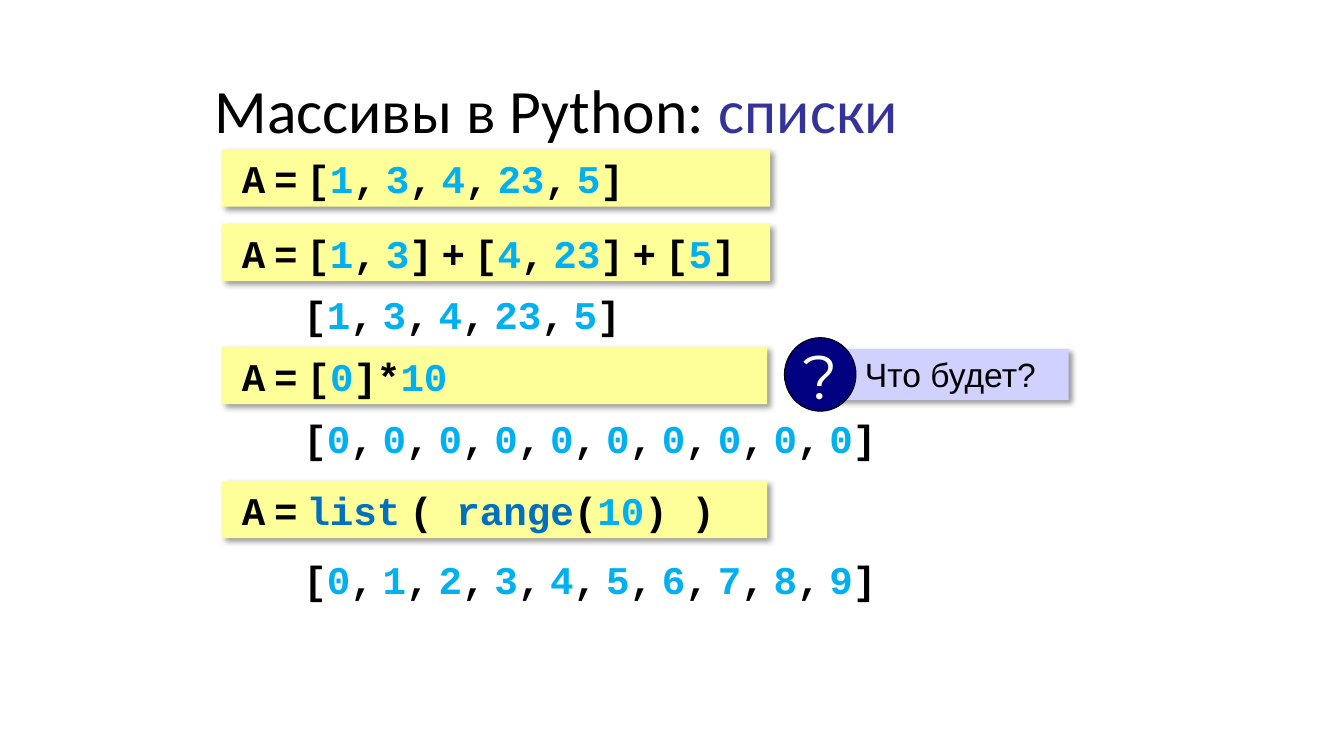
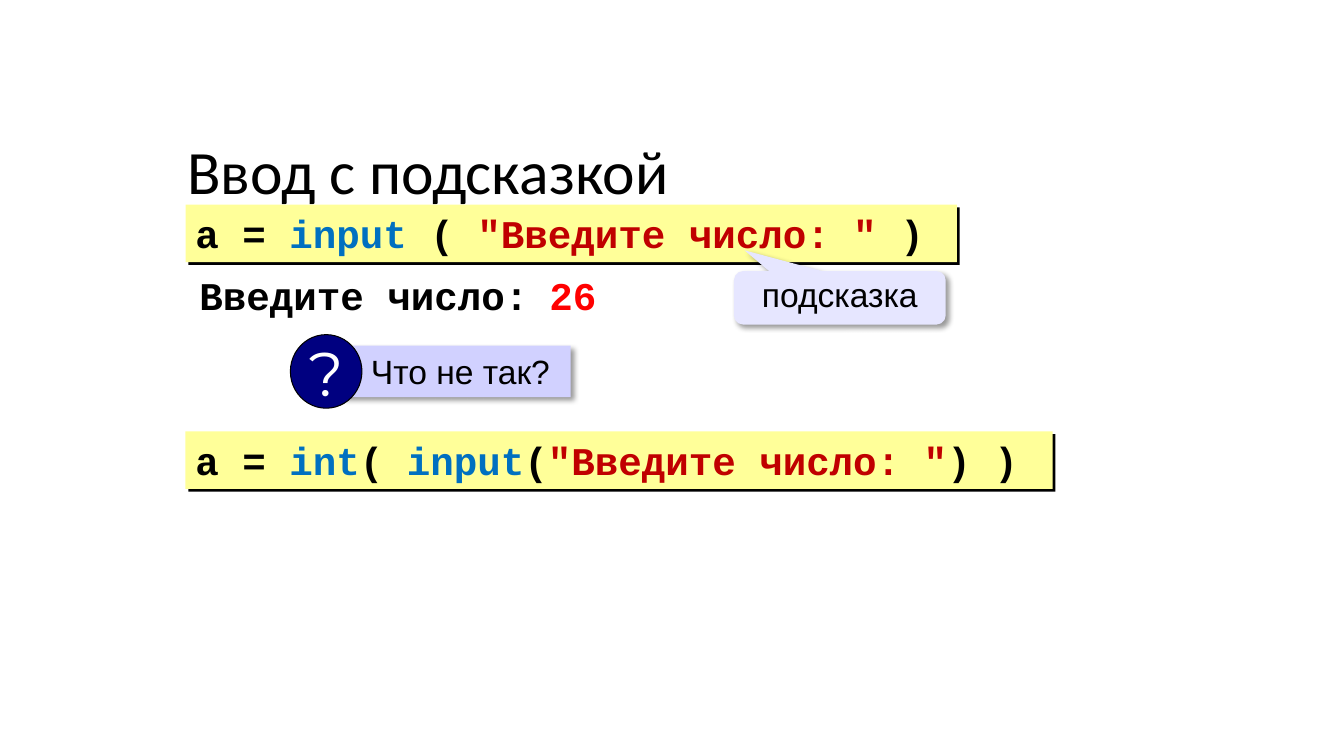
from itertools import groupby

from lxml import etree
from pptx import Presentation
from pptx import util as u
from pptx.dml import color
from pptx.enum import shapes, text
from pptx.oxml import ns

BLACK = "000000"
WHITE = "FFFFFF"
CODE_FILL = "FFFF99"
NUMBER = "00B0F0"
KEYWORD = "0070C0"
STRING = "C00000"
ACCENT = "333399"
ANSWER = "FF0000"
KEYWORDS = {"list", "range", "input", "int"}
SOFT_SHADOW = (40, 4, 3)
HARD_SHADOW = (100, 0, 2.8)


def rgb(value):
    return color.RGBColor.from_string(value)


def add_shadow(shape, alpha, blur, distance):
    effects = etree.SubElement(shape._element.spPr, ns.qn("a:effectLst"))
    outer = etree.SubElement(
        effects, ns.qn("a:outerShdw"), blurRad=str(int(u.Pt(blur))),
        dist=str(int(u.Pt(distance))), dir=str(45 * 60000),
        algn="tl", rotWithShape="0")
    tint = etree.SubElement(outer, ns.qn("a:srgbClr"), val=BLACK)
    etree.SubElement(tint, ns.qn("a:alpha"), val=str(alpha * 1000))


def write(shape, runs, size, bold=False, align=text.PP_ALIGN.LEFT,
          anchor=text.MSO_ANCHOR.TOP, wrap=True, spacing=None, indent=0):
    frame = shape.text_frame
    frame.word_wrap = wrap
    frame.vertical_anchor = anchor
    paragraph = frame.paragraphs[0]
    paragraph.alignment = align
    if spacing:
        paragraph.line_spacing = spacing
    if indent:
        paragraph._p.get_or_add_pPr().set("marL", str(int(u.Inches(indent))))
    for words, font_name, tint in runs:
        run = paragraph.add_run()
        run.text = words
        run.font.name = font_name
        run.font.size = u.Pt(size)
        run.font.bold = bold
        run.font.color.rgb = rgb(tint)


def add_box(slide, kind, box, fill, line=None, shadow=None):
    shape = slide.shapes.add_shape(kind, *map(u.Inches, box))
    shape.fill.solid()
    shape.fill.fore_color.rgb = rgb(fill)
    if line:
        shape.line.color.rgb = rgb(line)
        shape.line.width = u.Pt(0.75)
    else:
        shape.line.fill.background()
    if shadow:
        add_shadow(shape, *shadow)
    else:
        shape.shadow.inherit = False
    return shape


def add_text(slide, box):
    return slide.shapes.add_textbox(*map(u.Inches, box))


def character_kind(character):
    if character.isdigit():
        return "number"
    if character.isalpha():
        return "word"
    return "space" if character == " " else "sign"


def highlight(source, space_font="Courier New", number_color=NUMBER):
    runs = []
    for index, part in enumerate(source.split('"')):
        if index % 2:
            runs.append((f'"{part}"', "Courier New", STRING))
            continue
        for kind, characters in groupby(part, character_kind):
            token = "".join(characters)
            after_bracket = bool(runs) and runs[-1][0][-1] in "()"
            font_name = "Courier New"
            if kind == "space" and not after_bracket:
                font_name = space_font
            tint = BLACK
            if kind == "number":
                tint = number_color
            elif token in KEYWORDS:
                tint = KEYWORD
            runs.append((token, font_name, tint))
    return runs


def add_title(slide, left, top, *parts):
    title = add_text(slide, (left, top, 9.16, 0.52))
    write(title, [(words, "Calibri", tint) for words, tint in parts], 44, spacing=0.9)


def add_code(slide, left, top, width, runs, shadow, **style):
    block = add_box(slide, shapes.MSO_SHAPE.RECTANGLE,
                    (left, top, width, 0.57), CODE_FILL, shadow=shadow)
    write(block, runs, 28, bold=True, **style)


def add_output(slide, left, top, width, runs):
    write(add_text(slide, (left, top, width, 0.57)), runs, 28, bold=True)


def add_question(slide, left, top, width, words):
    label = add_box(slide, shapes.MSO_SHAPE.RECTANGLE,
                    (left + 0.51, top + 0.11, width, 0.51), "D1D1FF",
                    shadow=SOFT_SHADOW)
    write(label, [(words, "Arial", BLACK)], 24, indent=0.19)
    badge = add_box(slide, shapes.MSO_SHAPE.OVAL, (left, top, 0.71, 0.73),
                    "000080", line=BLACK)
    write(badge, [("?", "Montserrat", WHITE)], 44, align=text.PP_ALIGN.CENTER,
          anchor=text.MSO_ANCHOR.MIDDLE, wrap=False)


def add_callout(slide, box, words):
    callout = add_box(slide, shapes.MSO_SHAPE.ROUNDED_RECTANGULAR_CALLOUT, box,
                      "E6E6FF", shadow=SOFT_SHADOW)
    for index, value in enumerate((-0.45, -0.89, 0.17)):
        callout.adjustments[index] = value
    write(callout, [(words, "Arial", BLACK)], 24, align=text.PP_ALIGN.CENTER,
          anchor=text.MSO_ANCHOR.MIDDLE, spacing=0.8)


def build_lists(slide):
    add_title(slide, 2.03, 0.75, ("Массивы в Python: ", BLACK), ("списки", ACCENT))
    for top, width, source in (
            (1.48, 5.44, "A = [1, 3, 4, 23, 5]"),
            (2.22, 5.44, "A = [1, 3] + [4, 23] + [5]"),
            (3.44, 5.41, "A = [0]*10"),
            (4.77, 5.41, "A = list ( range(10) )")):
        add_code(slide, 2.2, top, width, highlight(source, "Calibri"), SOFT_SHADOW,
                 anchor=text.MSO_ANCHOR.MIDDLE, indent=0.1)
    for top, width, values in (
            (2.83, 3.58, [1, 3, 4, 23, 5]),
            (4.06, 6.31, [0] * 10),
            (5.46, 6.31, list(range(10)))):
        add_output(slide, 2.91, top, width, highlight(str(values), "Calibri"))
    add_question(slide, 7.78, 3.35, 2.31, "Что будет?")


def build_prompt(slide):
    add_title(slide, 1.76, 1.35, ("Ввод с подсказкой", BLACK))
    for top, width, source in (
            (2.03, 7.65, 'a = input ( "Введите число: " )'),
            (4.28, 8.6, 'a = int( input("Введите число: ") )')):
        add_code(slide, 1.84, top, width, highlight(source), HARD_SHADOW)
    add_callout(slide, (7.28, 2.69, 2.1, 0.53), "подсказка")
    add_output(slide, 1.88, 2.64, 3.48, highlight("Введите число:"))
    add_output(slide, 5.35, 2.64, 0.67, highlight("26", number_color=ANSWER))
    add_question(slide, 2.88, 3.32, 2.27, "Что не так?")


def main():
    presentation = Presentation()
    presentation.slide_width = u.Inches(13.33)
    presentation.slide_height = u.Inches(7.5)
    for build in (build_lists, build_prompt):
        build(presentation.slides.add_slide(presentation.slide_layouts[6]))
    presentation.save("out.pptx")


if __name__ == "__main__":
    main()
